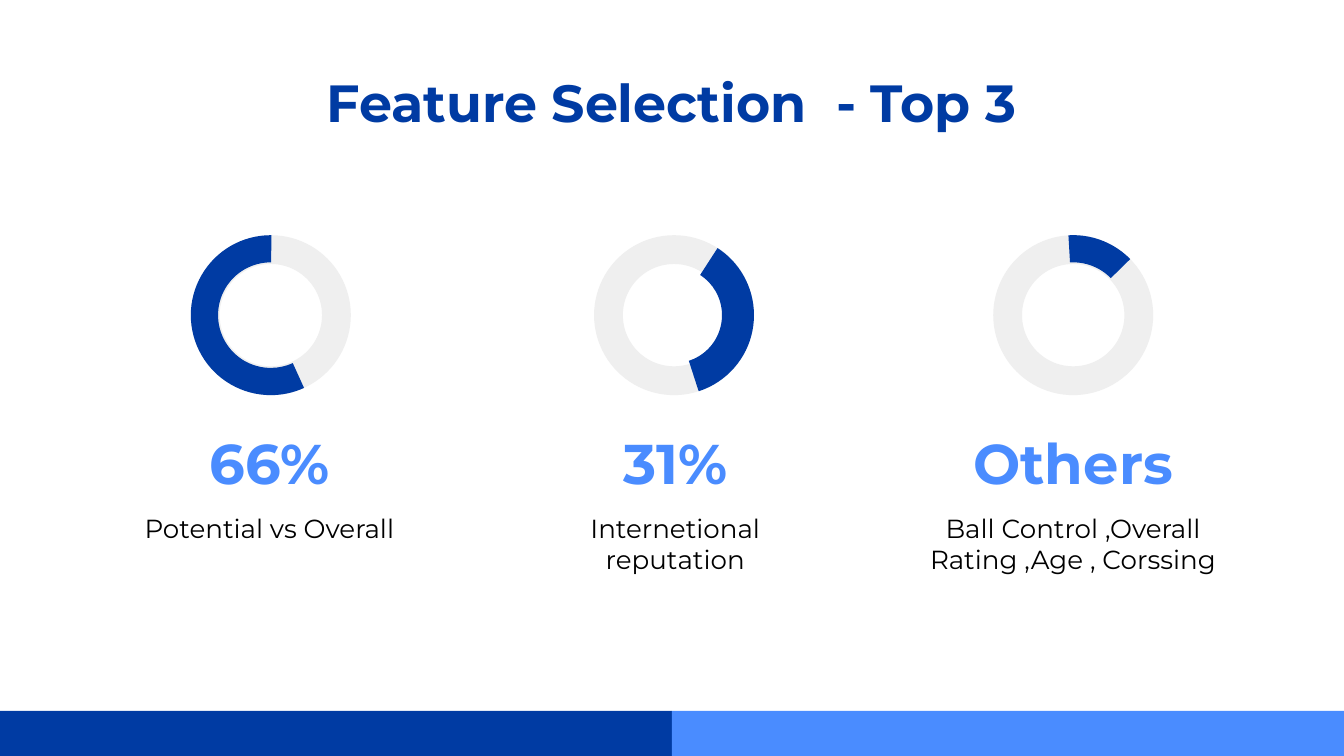
from pptx import Presentation
from pptx import util as u
from pptx.dml.color import RGBColor
from pptx.enum import shapes as s, text as t

THEME = {
    "font": "Montserrat",
    "navy": "003BA3", "sky": "4A8CFF", "gray": "EFEFEF", "black": "000000",
    "head": 28, "value": 30, "label": 14,
}


def draw(kind, left, top, width, height, color):
    """Add a plain filled shape without line or shadow."""
    shape = slide.shapes.add_shape(
        kind, u.Inches(left), u.Inches(top), u.Inches(width), u.Inches(height))
    shape.shadow.inherit = False
    shape.fill.solid()
    shape.fill.fore_color.rgb = RGBColor.from_string(THEME[color])
    shape.line.fill.background()
    return shape


def write(box, words, size, color, bold, anchor, after=0):
    """Fill a text shape with one centred paragraph."""
    frame = box.text_frame
    inset = u.Inches(0.1)
    form = {
        "word_wrap": True, "auto_size": t.MSO_AUTO_SIZE.NONE,
        "vertical_anchor": anchor, "margin_left": inset,
        "margin_right": inset, "margin_top": inset, "margin_bottom": inset,
    }
    for name, value in form.items():
        setattr(frame, name, value)
    para = frame.paragraphs[0]
    para.alignment = t.PP_ALIGN.CENTER
    para.space_after = u.Pt(after)
    run = para.add_run()
    run.text = words
    style = {"name": THEME["font"], "size": u.Pt(THEME[size]), "bold": bold}
    for name, value in style.items():
        setattr(run.font, name, value)
    run.font.color.rgb = RGBColor.from_string(THEME[color])


# Widescreen slide, 16 to 9
deck = Presentation()
deck.slide_width = u.Inches(10)
deck.slide_height = u.Inches(10 * 9 / 16)
slide = deck.slides.add_slide(deck.slide_layouts[5])
top, middle = t.MSO_ANCHOR.TOP, t.MSO_ANCHOR.MIDDLE

# Footer bars
for left, color in ((0, "navy"), (5, "sky")):
    draw(s.MSO_SHAPE.RECTANGLE, left, 5.29, 5, 0.34, color)

# Heading
title = slide.shapes.title
place = {"left": 0.78, "top": 0.42, "width": 8.43, "height": 0.71}
for name, value in place.items():
    setattr(title, name, u.Inches(value))
write(title, "Feature Selection  - Top 3", "head", "navy", True, top)

# Features: text left, ring left, value, label, arc start and end in degrees,
# arc thickness
features = [
    (0.82, 1.42, "66%", "Potential vs Overall", 65.43, 270.39, 0.17),
    (3.84, 4.42, "31%", "Internetional reputation", 302.99, 72.03, 0.2),
    (6.8, 7.39, "Others", "Ball Control ,Overall Rating ,Age , Corssing",
     266.58, 315.46, 0.17),
]
UNIT = 0.6  # adjustment value per degree
for left, ring, value, label, start, end, thick in features:
    # Ring with its highlighted arc
    donut = draw(s.MSO_SHAPE.DONUT, ring, 1.75, 1.19, 1.19, "gray")
    donut.adjustments[0] = 0.18
    arc = draw(s.MSO_SHAPE.BLOCK_ARC, ring, 1.75, 1.19, 1.19, "navy")
    for i, amount in enumerate((start * UNIT, end * UNIT, thick)):
        arc.adjustments[i] = amount

    # Value and label
    for y, words, size, color, bold, anchor, after in (
            (3.08, value, "value", "sky", True, middle, 0),
            (3.71, label, "label", "black", False, top, 16)):
        box = slide.shapes.add_textbox(
            u.Inches(left), u.Inches(y), u.Inches(2.37), u.Inches(0.71))
        write(box, words, size, color, bold, anchor, after)

deck.save("out.pptx")
